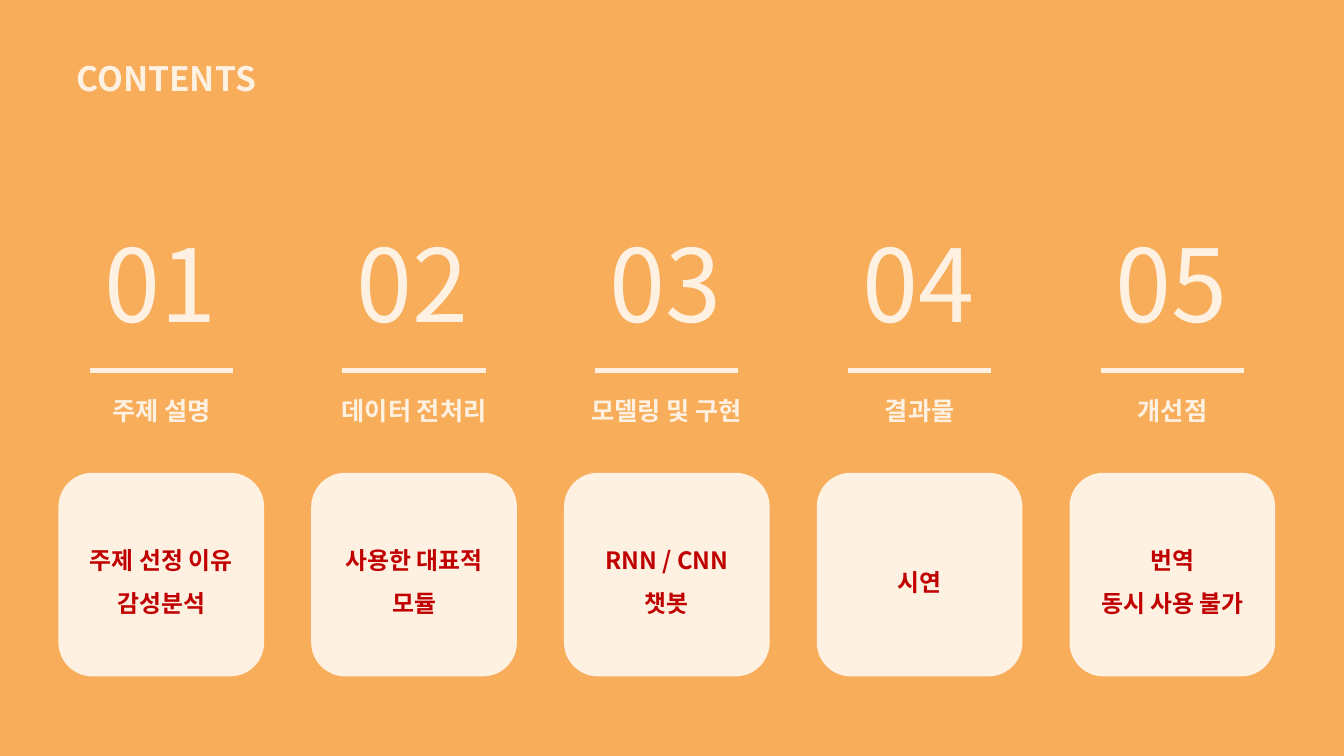
from dataclasses import dataclass

from pptx import Presentation
from pptx.dml.color import RGBColor
from pptx.enum.shapes import MSO_CONNECTOR, MSO_SHAPE
from pptx.enum.text import MSO_ANCHOR, MSO_AUTO_SIZE, PP_ALIGN
from pptx.oxml.ns import qn
from pptx.util import Inches, Pt


@dataclass(frozen=True)
class Theme:
    font: str = "Noto Sans CJK KR"
    orange: RGBColor = RGBColor(0xF8, 0xAD, 0x5A)
    cream: RGBColor = RGBColor(0xFE, 0xF1, 0xE2)
    red: RGBColor = RGBColor(0xC0, 0x00, 0x00)
    heading: int = 24
    number: int = 72
    label: int = 18
    card: int = 17
    rule: float = 3.5


THEME = Theme()
SLIDE_WIDTH, SLIDE_HEIGHT = 13.33, 7.5

# Column grid: centre of the first column and distance between centres
FIRST_CENTRE, COLUMN_STEP = 1.6, 2.507
NUMBER_ROW, RULE_ROW, LABEL_ROW, CARD_ROW = 2.15, 3.68, 3.87, 4.69
NUMBER_SIZE = (1.33, 1.31)
RULE_WIDTH = 1.42
LABEL_SIZE = (2.19, 0.4)
CARD_SIZE = (2.04, 2.02)

SECTIONS = [
    ("주제 설명", ["주제 선정 이유", "감성분석"]),
    ("데이터 전처리", ["사용한 대표적 모듈"]),
    ("모델링 및 구현", ["RNN / CNN", "챗봇"]),
    ("결과물", ["시연"]),
    ("개선점", ["번역", "동시 사용 불가"]),
]


def style_paragraph(paragraph, size, color, bold, align):
    paragraph.alignment = align
    font = paragraph.font
    font.name = THEME.font
    font.size = Pt(size)
    font.bold = bold
    font.color.rgb = color
    # Hangul takes its typeface from the East Asian font slot
    defaults = paragraph._p.pPr.find(qn("a:defRPr"))
    east_asian = defaults.makeelement(qn("a:ea"), {"typeface": THEME.font})
    defaults.find(qn("a:latin")).addnext(east_asian)


def add_text(slide, left, top, extent, text, size, bold=True, align=PP_ALIGN.LEFT):
    box = slide.shapes.add_textbox(*map(Inches, (left, top, *extent)))
    frame = box.text_frame
    frame.word_wrap = True
    frame.auto_size = MSO_AUTO_SIZE.SHAPE_TO_FIT_TEXT
    frame.text = text
    style_paragraph(frame.paragraphs[0], size, THEME.cream, bold, align)


def add_rule(slide, centre):
    start, end = centre - RULE_WIDTH / 2, centre + RULE_WIDTH / 2
    rule = slide.shapes.add_connector(
        MSO_CONNECTOR.STRAIGHT, *map(Inches, (start, RULE_ROW, end, RULE_ROW)))
    rule.line.color.rgb = THEME.cream
    rule.line.width = Pt(THEME.rule)
    properties = rule._element.spPr
    properties.append(properties.makeelement(qn("a:effectLst"), {}))


def add_card(slide, centre, topics):
    left = centre - CARD_SIZE[0] / 2
    card = slide.shapes.add_shape(
        MSO_SHAPE.ROUNDED_RECTANGLE, *map(Inches, (left, CARD_ROW, *CARD_SIZE)))
    card.shadow.inherit = False
    card.fill.solid()
    card.fill.fore_color.rgb = THEME.cream
    card.line.fill.background()
    frame = card.text_frame
    frame.word_wrap = True
    frame.vertical_anchor = MSO_ANCHOR.MIDDLE
    frame.text = "\n".join(topics)
    for paragraph in frame.paragraphs:
        paragraph.line_spacing = 1.5
        style_paragraph(paragraph, THEME.card, THEME.red, True, PP_ALIGN.CENTER)


def add_section(slide, index, label, topics):
    centre = FIRST_CENTRE + index * COLUMN_STEP
    add_text(slide, centre - NUMBER_SIZE[0] / 2, NUMBER_ROW, NUMBER_SIZE,
             f"{index + 1:02}", THEME.number, bold=False)
    add_rule(slide, centre)
    add_text(slide, centre - LABEL_SIZE[0] / 2, LABEL_ROW, LABEL_SIZE,
             label, THEME.label, align=PP_ALIGN.CENTER)
    add_card(slide, centre, topics)


def main():
    presentation = Presentation()
    presentation.slide_width = Inches(SLIDE_WIDTH)
    presentation.slide_height = Inches(SLIDE_HEIGHT)
    slide = presentation.slides.add_slide(presentation.slide_layouts[6])
    slide.background.fill.solid()
    slide.background.fill.fore_color.rgb = THEME.orange

    add_text(slide, 0.66, 0.53, (2.39, 0.5), "CONTENTS", THEME.heading)
    for index, (label, topics) in enumerate(SECTIONS):
        add_section(slide, index, label, topics)

    presentation.save("out.pptx")


if __name__ == "__main__":
    main()
